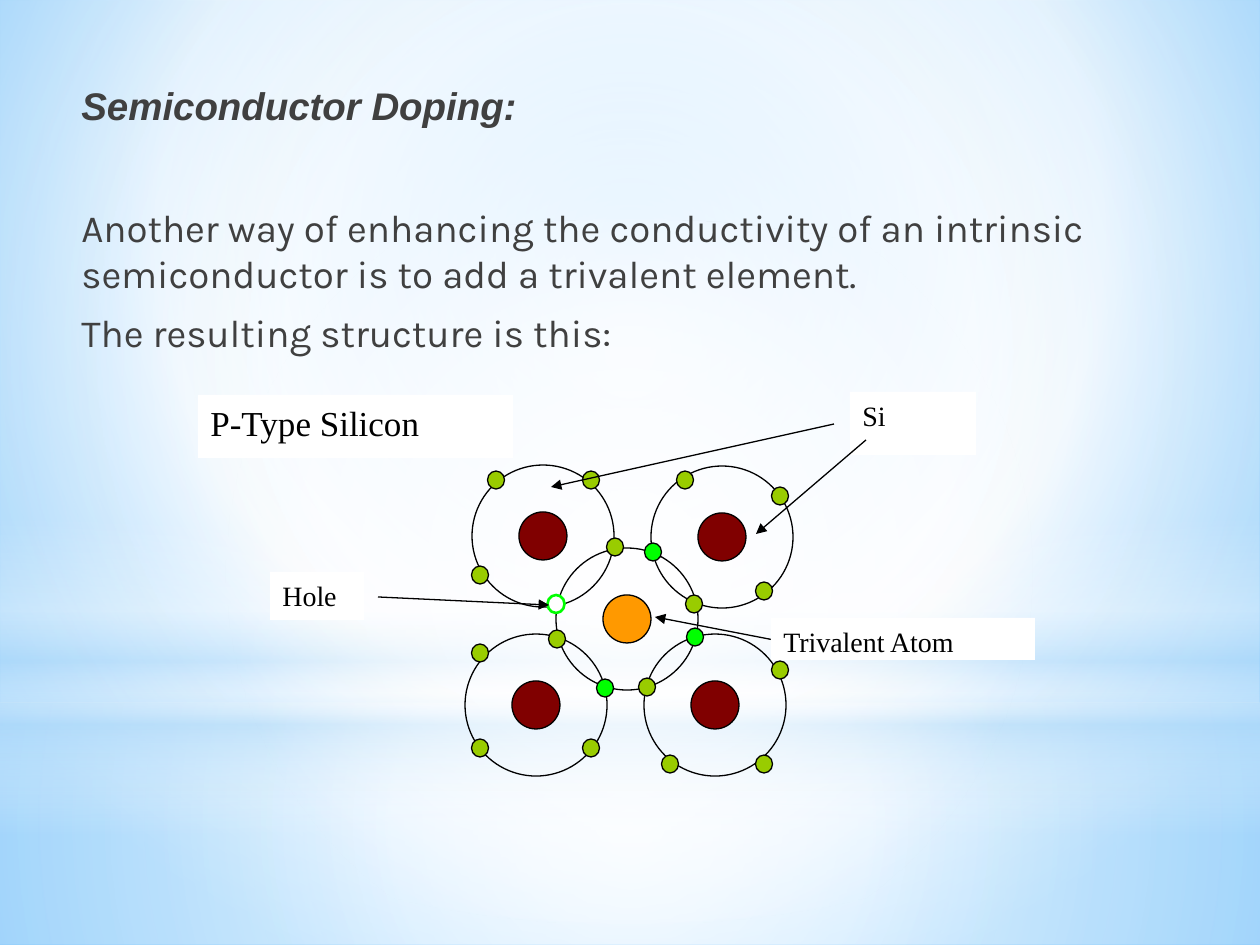
from lxml.etree import SubElement
from pptx import Presentation
from pptx.dml.color import RGBColor
from pptx.enum.shapes import MSO_CONNECTOR, MSO_SHAPE
from pptx.enum.text import MSO_ANCHOR, PP_ALIGN
from pptx.oxml import parse_xml
from pptx.oxml.ns import nsdecls, qn
from pptx.util import Emu, Pt

SCALE = 914400 / 126
BLACK = RGBColor(0x00, 0x00, 0x00)
WHITE = RGBColor(0xFF, 0xFF, 0xFF)
GRAY = RGBColor(0x40, 0x40, 0x40)
MAROON = RGBColor(0x80, 0x00, 0x00)
ORANGE = RGBColor(0xFF, 0x99, 0x00)
OLIVE = RGBColor(0x99, 0xCC, 0x00)
LIME = RGBColor(0x00, 0xFF, 0x00)
SKY = RGBColor(0x9E, 0xD5, 0xFF)
BLUE = RGBColor(0x5B, 0xB9, 0xFF)
PALE = RGBColor(0xB4, 0xDC, 0xFA)

RING, CORE = 142, 48
CENTER = (627, 619)
SILICON = [(722, 537), (543, 536), (715, 705), (536, 705)]
OUTER = [(591, 480), (496, 480), (480, 575), (480, 653), (480, 748),
         (591, 748), (670, 764), (764, 764), (780, 670), (764, 591),
         (780, 496), (685, 480)]
SHARED = [(615, 547), (557, 639), (694, 604), (647, 687)]
DOPANT = [(605, 688), (653, 552), (695, 637)]
HOLE = (556, 604)
RADIAL = (50, 50, 50, 50)


def px(n):
    return Emu(round(n * SCALE))


def blend(owner, fill, stops, focus=None):
    """Fill with (position, colour, opacity) stops: radial, or downward."""
    fill.solid()
    marks = "".join(
        f'<a:gs pos="{pos * 1000}"><a:srgbClr val="{color}">'
        f'<a:alpha val="{alpha * 1000}"/></a:srgbClr></a:gs>'
        for pos, color, alpha in stops)
    if focus:
        sides = " ".join(f'{k}="{v * 1000}"' for k, v in zip("ltrb", focus))
        way = f'<a:path path="circle"><a:fillToRect {sides}/></a:path>'
    else:
        way = '<a:lin ang="5400000" scaled="0"/>'
    old = owner.xpath(".//a:solidFill")[0]
    old.getparent().replace(old, parse_xml(
        f'<a:gradFill {nsdecls("a")} rotWithShape="1">'
        f'<a:gsLst>{marks}</a:gsLst>{way}</a:gradFill>'))


def add_form(slide, kind, x, y, w, h, fill=None, line=None, width=0.75):
    form = slide.shapes.add_shape(kind, px(x), px(y), px(w), px(h))
    form.shadow.inherit = False
    if fill is None:
        form.fill.background()
    else:
        form.fill.solid()
        form.fill.fore_color.rgb = fill
    if line is None:
        form.line.fill.background()
    else:
        form.line.color.rgb = line
        form.line.width = Pt(width)
    return form


def add_layer(slide, kind, y, h, stops, focus=None):
    layer = add_form(slide, kind, 0, y, 1260, h)
    blend(layer.element.spPr, layer.fill, stops, focus)


def add_disc(slide, center, w, h, fill=None, line=BLACK, width=0.75):
    x, y = center
    add_form(slide, MSO_SHAPE.OVAL, x - w / 2, y - h / 2, w, h,
             fill, line, width)


def add_atom(slide, center, color):
    add_disc(slide, center, RING, RING)
    add_disc(slide, center, CORE, CORE, color)


def add_dot(slide, center, fill, **look):
    add_disc(slide, center, 17, 18, fill, **look)


def add_arrow(slide, start, end):
    arrow = slide.shapes.add_connector(
        MSO_CONNECTOR.STRAIGHT, *map(px, start + end))
    arrow.line.color.rgb = BLACK
    arrow.line.width = Pt(0.75)
    SubElement(arrow.line._get_or_add_ln(), qn("a:tailEnd"), type="triangle")
    SubElement(arrow.element.spPr, qn("a:effectLst"))


def put_text(par, text, size, font, color, bold=False, italic=False, before=0):
    par.alignment = PP_ALIGN.LEFT
    par.space_before = Pt(before)
    run = par.add_run()
    run.text = text
    face = run.font
    face.size, face.name = Pt(size), font
    face.bold, face.italic = bold, italic
    face.color.rgb = color


def add_label(slide, text, x, y, w, h, size=16):
    label = add_form(slide, MSO_SHAPE.RECTANGLE, x, y, w, h, WHITE)
    frame = label.text_frame
    frame.word_wrap = True
    frame.vertical_anchor = MSO_ANCHOR.TOP
    put_text(frame.paragraphs[0], text, size=size,
             font="Times New Roman", color=BLACK)


def add_backdrop(slide):
    blend(slide.element, slide.background.fill,
          [(0, SKY, 100), (60, WHITE, 100), (100, BLUE, 100)],
          (20, 10, 20, 60))
    add_layer(slide, MSO_SHAPE.RECTANGLE, 703, 242,
              [(0, WHITE, 91), (37, WHITE, 76), (100, PALE, 79)], RADIAL)
    add_layer(slide, MSO_SHAPE.RECTANGLE, 0, 703,
              [(0, WHITE, 89), (48, WHITE, 62), (100, PALE, 79)], RADIAL)
    add_layer(slide, MSO_SHAPE.RECTANGLE, 519, 315,
              [(0, WHITE, 0), (29, WHITE, 30), (45, PALE, 40),
               (55, WHITE, 26), (65, PALE, 60), (100, WHITE, 0)])
    add_layer(slide, MSO_SHAPE.OVAL, 220, 703,
              [(0, WHITE, 100), (56, WHITE, 0)], RADIAL)


def add_body(slide):
    box = slide.shapes.add_textbox(px(69), px(76), px(1149), px(290))
    frame = box.text_frame
    frame.word_wrap = True
    put_text(frame.paragraphs[0], "Semiconductor Doping:", size=22,
             font="Arial", color=GRAY, bold=True, italic=True)
    put_text(frame.add_paragraph(),
             "Another way of enhancing the conductivity of an intrinsic "
             "semiconductor is to add a trivalent element.",
             size=22, font="Karla", color=GRAY, before=43)
    put_text(frame.add_paragraph(), "The resulting structure is this:",
             size=22, font="Karla", color=GRAY, before=7.4)


def add_lattice(slide):
    for center in SILICON:
        add_atom(slide, center, MAROON)
    add_atom(slide, CENTER, ORANGE)
    for spots, color in ((OUTER + SHARED, OLIVE), (DOPANT, LIME)):
        for spot in spots:
            add_dot(slide, spot, color)
    add_dot(slide, HOLE, WHITE, line=LIME, width=1.5)


def add_notes(slide):
    # The atom's arrow starts behind its label
    add_arrow(slide, (800, 645), (655, 617))
    add_label(slide, "Si", 850, 392, 126, 63)
    add_label(slide, "Trivalent Atom", 771, 618, 264, 42)
    add_label(slide, "P-Type Silicon", 198, 395, 315, 63, size=20)
    add_label(slide, "Hole", 270, 572, 94, 48)
    add_arrow(slide, (834, 424), (551, 487))
    add_arrow(slide, (866, 440), (756, 534))
    add_arrow(slide, (378, 597), (549, 605))


def main():
    deck = Presentation()
    deck.slide_width, deck.slide_height = px(1260), px(945)
    slide = deck.slides.add_slide(deck.slide_layouts[6])
    add_backdrop(slide)
    add_body(slide)
    add_lattice(slide)
    add_notes(slide)
    deck.save("out.pptx")


if __name__ == "__main__":
    main()
